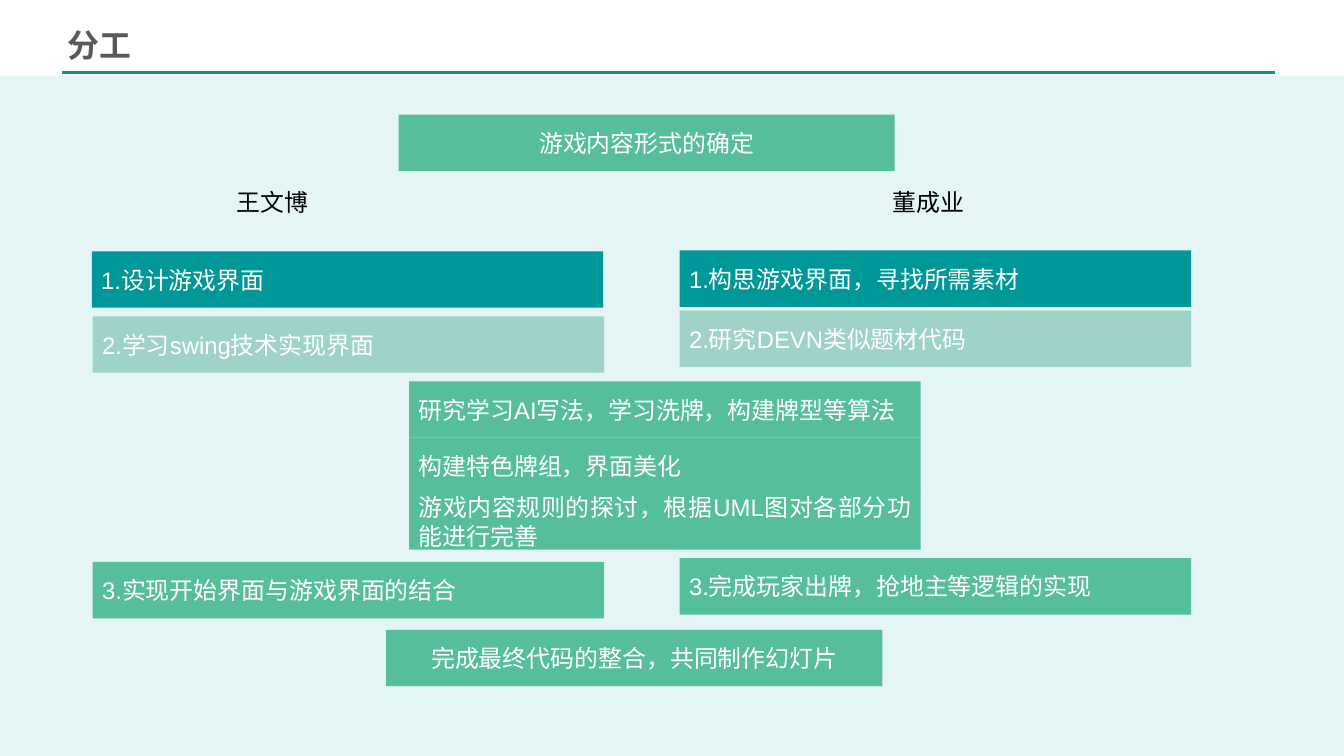
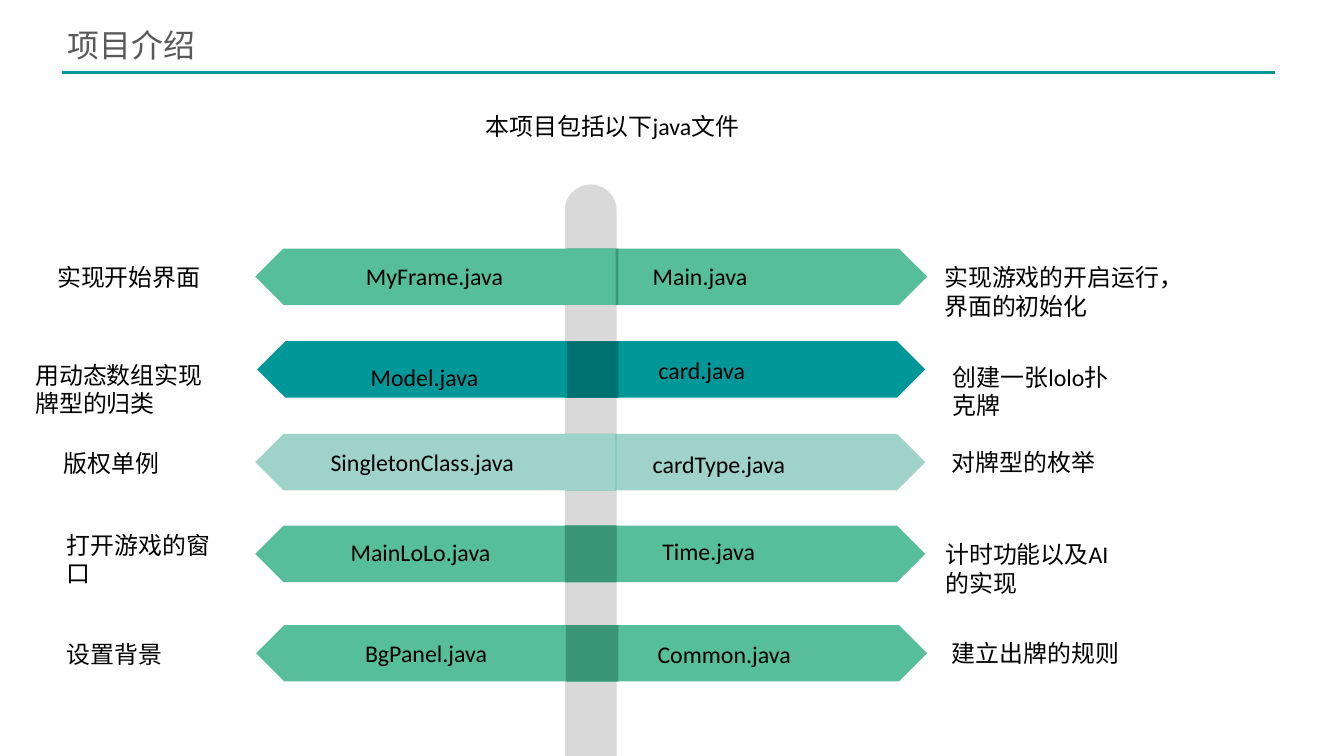
"""Build the division-of-work slide and the project-files slide."""
from dataclasses import dataclass
from typing import Any

from lxml.etree import SubElement
from pptx import Presentation
from pptx.dml.color import RGBColor
from pptx.enum.shapes import MSO_CONNECTOR, MSO_SHAPE
from pptx.enum.text import MSO_ANCHOR, MSO_AUTO_SIZE as FIT, PP_ALIGN as ALIGN
from pptx.oxml.ns import qn
from pptx.util import Emu, Pt

EMU_PER_PX = 9144
SLIDE_W, SLIDE_H = 1406, 791
BAR_H, TASK_W, SHARED_W = 59, 535, 519
ARROW_W, HUB_W, LEFT_HUB_SHIFT = 377, 54, 324

COLORS = {
    "teal": "009799", "teal_dark": "007173", "panel": "009899",
    "green": "57BE9B", "green_dark": "3A9677",
    "pale": "9FD2C8", "pale_dark": "60B5A4",
    "pole": "D9D9D9", "title": "595959", "white": "FFFFFF", "black": "000000",
}
TITLE_FRAME = {
    "word_wrap": True, "auto_size": FIT.NONE, "vertical_anchor": MSO_ANCHOR.TOP,
    "margin_left": Pt(8), "margin_right": Pt(8),
    "margin_top": Pt(3.6), "margin_bottom": Pt(3.6),
}
BAR_FRAME = {"word_wrap": True, "vertical_anchor": MSO_ANCHOR.MIDDLE}
LABEL_FRAME = {"word_wrap": True, "auto_size": FIT.SHAPE_TO_FIT_TEXT}
TITLE_FONT = {"name": "Arial", "size": Pt(24)}
BAR_FONT = {"name": "Arial", "size": Pt(18)}
LABEL_FONT = {"name": "Calibri", "size": Pt(18)}


@dataclass(frozen=True)
class Task:
    """A coloured bar holding one piece of work."""
    text: str
    x: int
    y: int
    color: str = "green"
    width: int = TASK_W
    align: Any = ALIGN.JUSTIFY


@dataclass(frozen=True)
class Label:
    """Plain black text on the slide."""
    text: str
    x: int
    y: int
    width: int
    height: int = 40


@dataclass(frozen=True)
class FilePair:
    """Two opposite arrows with their file names and explanations."""
    y: int
    color: str
    left_x: int
    right_x: int
    left_hub: bool
    labels: tuple[Label, ...]


TASKS = (
    Task("游戏内容形式的确定", 417, 120, width=SHARED_W, align=ALIGN.CENTER),
    Task("1.设计游戏界面", 96, 263, "teal"),
    Task("2.学习swing技术实现界面", 97, 331, "pale"),
    Task("3.实现开始界面与游戏界面的结合", 97, 588),
    Task("1.构思游戏界面，寻找所需素材", 711, 262, "teal"),
    Task("2.研究DEVN类似题材代码", 711, 325, "pale"),
    Task("3.完成玩家出牌，抢地主等逻辑的实现", 711, 584),
    Task("研究学习AI写法，学习洗牌，构建牌型等算法", 428, 399),
    Task("构建特色牌组，界面美化", 428, 458),
    Task("游戏内容规则的探讨，根据UML图对各部分功能进行完善", 428, 516),
    Task("完成最终代码的整合，共同制作幻灯片", 404, 659, width=SHARED_W, align=ALIGN.CENTER),
)
MEMBERS = (Label("王文博", 238, 191, 178), Label("董成业", 924, 191, 295))
INTRO = Label("本项目包括以下java文件", 498, 112, 289)
FILE_PAIRS = (
    FilePair(260, "green", 267, 593, False, (
        Label("MyFrame.java", 373, 269, 212),
        Label("Main.java", 673, 269, 233),
        Label("实现开始界面", 50, 270, 193),
        Label("实现游戏的开启运行，界面的初始化", 978, 270, 284, 71))),
    FilePair(357, "teal", 269, 591, True, (
        Label("Model.java", 378, 374, 176),
        Label("card.java", 679, 367, 131),
        Label("用动态数组实现牌型的归类", 27, 372, 215, 71),
        Label("创建一张lolo扑克牌", 987, 374, 193, 71))),
    FilePair(454, "pale", 267, 591, False, (
        Label("SingletonClass.java", 336, 463, 234),
        Label("cardType.java", 673, 466, 187),
        Label("版权单例", 57, 464, 155),
        Label("对牌型的枚举", 986, 463, 193))),
    FilePair(550, "green", 267, 591, True, (
        Label("MainLoLo.java", 357, 558, 183),
        Label("Time.java", 683, 557, 185),
        Label("打开游戏的窗口", 60, 550, 170, 71),
        Label("计时功能以及AI的实现", 979, 560, 193, 71))),
    FilePair(654, "green", 268, 593, True, (
        Label("BgPanel.java", 372, 663, 182),
        Label("Common.java", 678, 664, 175),
        Label("设置背景", 60, 664, 232),
        Label("建立出牌的规则", 986, 663, 204))),
)


def px(*lengths: int) -> tuple[Emu, ...]:
    """Turn pixel lengths into EMU."""
    return tuple(Emu(length * EMU_PER_PX) for length in lengths)


def rgb(color: str) -> RGBColor:
    """Look up a colour by its role."""
    return RGBColor.from_string(COLORS[color])


def set_values(target: Any, values: dict[str, Any]) -> None:
    """Set each attribute named in a dict of format values."""
    for attribute, value in values.items():
        setattr(target, attribute, value)


def write(shape: Any, text: str, frame: dict[str, Any], font: dict[str, Any],
          color: str, align: Any) -> None:
    """Fill a shape with one formatted paragraph."""
    set_values(shape.text_frame, frame)
    paragraph = shape.text_frame.paragraphs[0]
    paragraph.alignment = align
    run = paragraph.add_run()
    run.text = text
    set_values(run.font, font)
    run.font.color.rgb = rgb(color)


def add_block(slide: Any, kind: Any, x: int, y: int, width: int, height: int,
              color: str, rotation: int = 0) -> Any:
    """Draw a flat preset shape without outline or shadow."""
    block = slide.shapes.add_shape(kind, *px(x, y, width, height))
    block.fill.solid()
    block.fill.fore_color.rgb = rgb(color)
    block.line.fill.background()
    block.shadow.inherit = False
    block.rotation = rotation
    return block


def add_label(slide: Any, label: Label) -> None:
    """Draw a text box."""
    box = slide.shapes.add_textbox(*px(label.x, label.y, label.width, label.height))
    write(box, label.text, LABEL_FRAME, LABEL_FONT, "black", ALIGN.LEFT)


def add_task(slide: Any, task: Task) -> None:
    """Draw a bar with its piece of work."""
    bar = add_block(slide, MSO_SHAPE.RECTANGLE, task.x, task.y, task.width, BAR_H, task.color)
    write(bar, task.text, BAR_FRAME, BAR_FONT, "white", task.align)


def add_arrow(slide: Any, pair: FilePair, x: int, hub_x: int, rotation: int, hub: bool) -> None:
    """Draw an arrow and, if wanted, its dark hub."""
    add_block(slide, MSO_SHAPE.PENTAGON, x, pair.y, ARROW_W, BAR_H, pair.color, rotation)
    if hub:
        add_block(slide, MSO_SHAPE.RECTANGLE, hub_x, pair.y, HUB_W, BAR_H,
                  f"{pair.color}_dark", rotation)


def prepare_layout(deck: Any) -> Any:
    """Give the title-only layout its title place and rule."""
    layout = deck.slide_layouts[5]
    left, top, width, height = px(60, 22, 301, 39)
    set_values(layout.placeholders[0],
               {"left": left, "top": top, "width": width, "height": height})
    return layout


def add_title_rule(slide: Any, layout: Any) -> None:
    """Draw the title rule and hand it to the layout."""
    rule = slide.shapes.add_connector(MSO_CONNECTOR.STRAIGHT, *px(65, 76, 1334, 76))
    rule.line.color.rgb = rgb("teal")
    rule.line.width = Pt(2)
    SubElement(rule.element.spPr, qn("a:effectLst"))
    rule.element.nvCxnSpPr.cNvPr.id = 99
    layout.shapes.element.append(rule.element)


def add_titled_slide(deck: Any, layout: Any, title: str, bold: bool) -> Any:
    """Add a slide with its title."""
    slide = deck.slides.add_slide(layout)
    write(slide.shapes.title, title, TITLE_FRAME, {**TITLE_FONT, "bold": bold},
          "title", ALIGN.JUSTIFY)
    return slide


def build_work_slide(deck: Any, layout: Any) -> None:
    """Show who does which work."""
    slide = add_titled_slide(deck, layout, "分工", True)
    add_title_rule(slide, layout)
    panel = add_block(slide, MSO_SHAPE.RECTANGLE, 0, 79, SLIDE_W, SLIDE_H - 79, "panel")
    tint = panel.element.spPr.find(f"{qn('a:solidFill')}/{qn('a:srgbClr')}")
    SubElement(tint, qn("a:alpha"), val="10000")
    for task in TASKS:
        add_task(slide, task)
    for member in MEMBERS:
        add_label(slide, member)


def build_files_slide(deck: Any, layout: Any) -> None:
    """Show the project files along a pole."""
    slide = add_titled_slide(deck, layout, "项目介绍", False)
    pole = add_block(slide, MSO_SHAPE.ROUND_2_SAME_RECTANGLE, 591, 193, HUB_W,
                     SLIDE_H - 193, "pole")
    pole.adjustments[0] = 0.5
    add_label(slide, INTRO)
    for pair in FILE_PAIRS:
        add_arrow(slide, pair, pair.right_x, pair.right_x, 0, True)
        add_arrow(slide, pair, pair.left_x, pair.left_x + LEFT_HUB_SHIFT, 180, pair.left_hub)
        for label in pair.labels:
            add_label(slide, label)


def main() -> None:
    """Build and save the presentation."""
    deck = Presentation()
    deck.slide_width, deck.slide_height = px(SLIDE_W, SLIDE_H)
    layout = prepare_layout(deck)
    build_work_slide(deck, layout)
    build_files_slide(deck, layout)
    deck.save("out.pptx")


if __name__ == "__main__":
    main()
